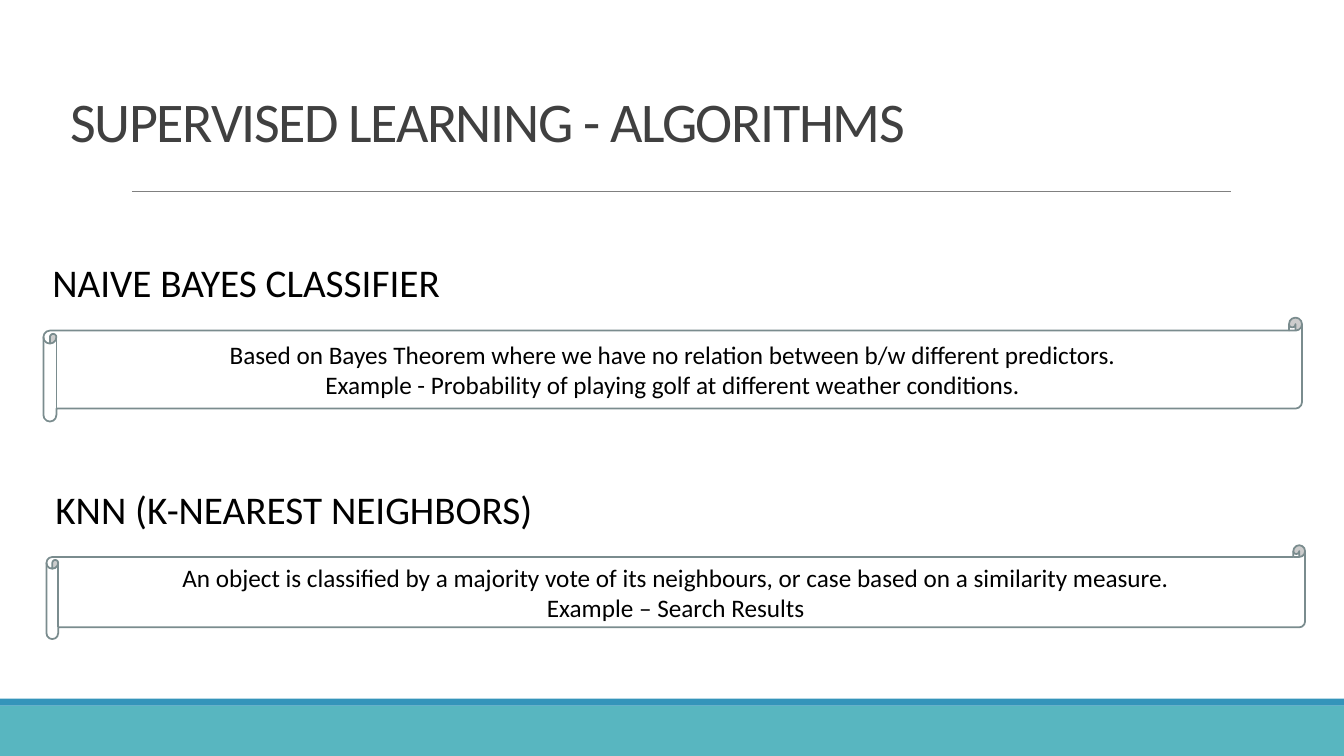
from dataclasses import dataclass

from lxml import etree
from pptx import Presentation
from pptx.dml.color import RGBColor
from pptx.enum.shapes import MSO_CONNECTOR, MSO_SHAPE
from pptx.enum.text import MSO_ANCHOR, PP_ALIGN
from pptx.oxml.ns import qn
from pptx.util import Pt

RECTANGLE = MSO_SHAPE.RECTANGLE
SCROLL = MSO_SHAPE.HORIZONTAL_SCROLL
STRAIGHT = MSO_CONNECTOR.STRAIGHT
LEFT, CENTER = PP_ALIGN.LEFT, PP_ALIGN.CENTER
MIDDLE, BOTTOM = MSO_ANCHOR.MIDDLE, MSO_ANCHOR.BOTTOM


@dataclass(frozen=True)
class Theme:
    """Colours, font and type sizes of the slide."""
    font: str = "Calibri"
    title_size: int = 40
    heading_size: int = 28
    body_size: int = 18
    title: RGBColor = RGBColor(0x40, 0x40, 0x40)
    text: RGBColor = RGBColor(0, 0, 0)
    paper: RGBColor = RGBColor(0xFF, 0xFF, 0xFF)
    outline: RGBColor = RGBColor(0x7A, 0x8C, 0x8E)
    rule: RGBColor = RGBColor(0x80, 0x80, 0x80)
    footer: RGBColor = RGBColor(0x58, 0xB6, 0xC0)
    footer_edge: RGBColor = RGBColor(0x34, 0x94, 0xBA)


theme = Theme()
presentation = Presentation()
presentation.slide_width, presentation.slide_height = Pt(960), Pt(540)
slide = presentation.slides.add_slide(presentation.slide_layouts[6])


def add_text(text, *, box, size, color=theme.text, align=LEFT, anchor=MIDDLE,
             line_spacing=1.0, tracking=0):
    """Add a text box with one paragraph per line; tracking is in points."""
    frame = slide.shapes.add_textbox(*map(Pt, box)).text_frame
    frame.word_wrap = True
    frame.vertical_anchor = anchor
    frame.margin_left = frame.margin_right = Pt(3.6)
    frame.margin_top = frame.margin_bottom = Pt(3.6)
    frame.text = text
    for paragraph in frame.paragraphs:
        paragraph.alignment = align
        paragraph.line_spacing = line_spacing
        font = paragraph.runs[0].font
        font.name, font.size = theme.font, Pt(size)
        font.color.rgb = color
        if tracking:
            paragraph.runs[0]._r.get_or_add_rPr().set("spc", str(tracking * 100))


def add_filled_shape(kind, *, box, fill, line=None):
    """Add a preset shape with a plain fill and an optional outline."""
    shape = slide.shapes.add_shape(kind, *map(Pt, box))
    shape.shadow.inherit = False
    shape.fill.solid()
    shape.fill.fore_color.rgb = fill
    if line is None:
        shape.line.fill.background()
    else:
        shape.line.color.rgb = line
        shape.line.width = Pt(1.25)


# Footer bands
add_filled_shape(RECTANGLE, box=(0, 504, 960, 36), fill=theme.footer)
add_filled_shape(RECTANGLE, box=(0, 499, 960, 5), fill=theme.footer_edge)

# Title and the rule below it
title_rule = slide.shapes.add_connector(STRAIGHT, Pt(94.3), Pt(136.6), Pt(879), Pt(136.6))
title_rule.line.color.rgb = theme.rule
title_rule.line.width = Pt(0.5)
etree.SubElement(title_rule._element.spPr, qn("a:effectLst"))
add_text("SUPERVISED LEARNING - ALGORITHMS", box=(46.8, 28.8, 756.7, 85),
         size=theme.title_size, color=theme.title, anchor=BOTTOM,
         line_spacing=0.85, tracking=-1)

# Each algorithm: heading, description, left and top of its scroll, scroll height
algorithms = [
    ("NAIVE BAYES CLASSIFIER",
     "Based on Bayes Theorem where we have no relation between b/w different predictors.\n"
     "Example - Probability of playing golf at different weather conditions.",
     31, 226.9, 74.2),
    ("KNN (K-NEAREST NEIGHBORS)",
     "An object is classified by a majority vote of its neighbours, "
     "or case based on a similarity measure.\n"
     "Example – Search Results",
     33.2, 389.5, 67),
]
scroll_width, text_inset, text_height = 899, 12, 49
for heading, description, left, top, height in algorithms:
    add_filled_shape(SCROLL, box=(left, top, scroll_width, height),
                     fill=theme.paper, line=theme.outline)
    text_top = top + (height - text_height) / 2
    add_text(description, size=theme.body_size, align=CENTER,
             box=(left + text_inset, text_top, scroll_width - 2 * text_inset, text_height))
    add_text(heading, size=theme.heading_size, line_spacing=0.9,
             box=(left + 2.8, top - 66.3, 749.5, 85))

presentation.save("out.pptx")
